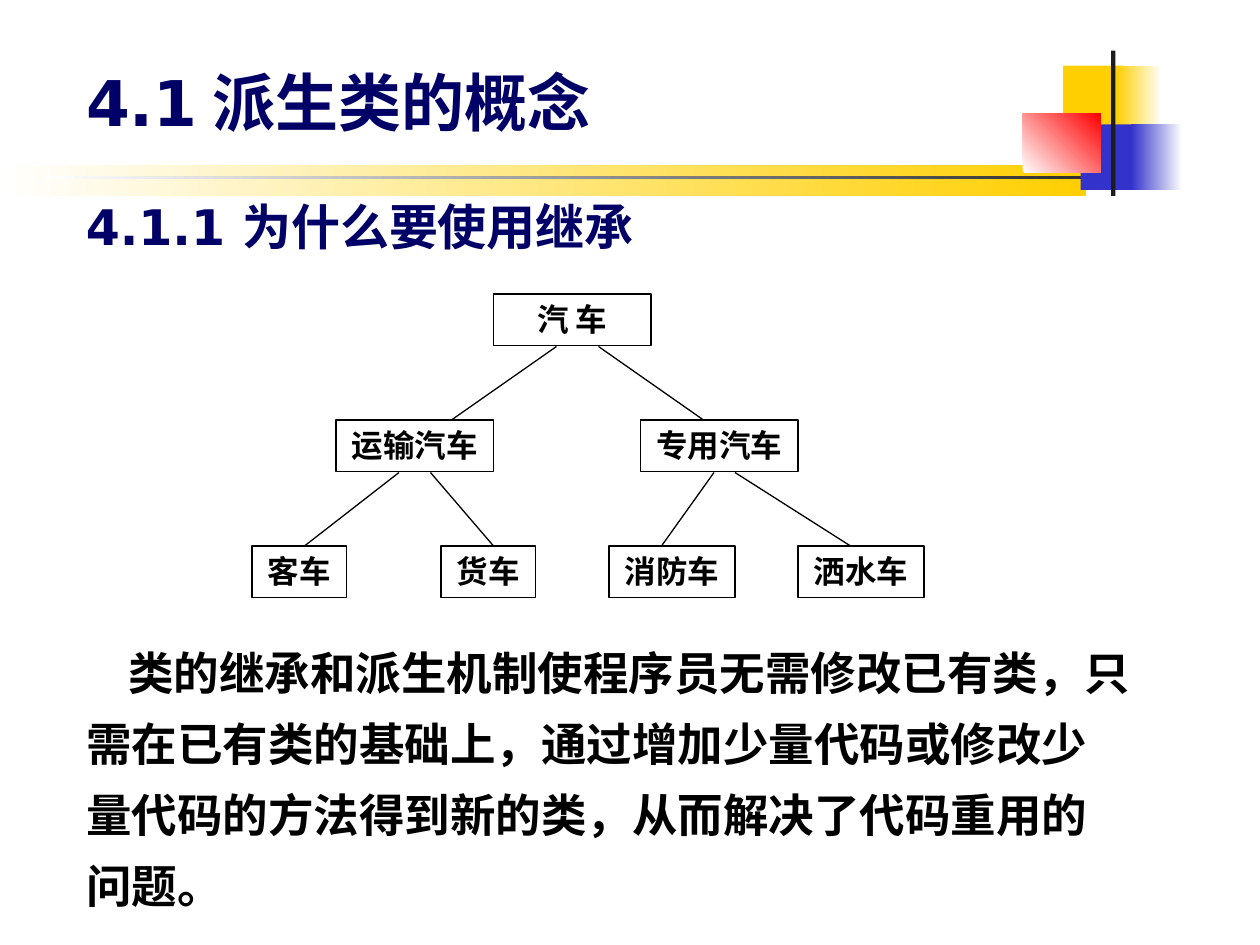
from pptx import Presentation
from pptx.dml.color import RGBColor
from pptx.enum import shapes, text
from pptx.oxml import xmlchemy as x
from pptx.oxml.ns import qn
from pptx.util import Pt

WHITE = RGBColor(0xFF, 0xFF, 0xFF)
BLACK = RGBColor(0, 0, 0)
NAVY = RGBColor(0, 0, 0x66)
YELLOW = RGBColor(0xFF, 0xCF, 0x01)
BLUE = RGBColor(0x33, 0x33, 0xCC)
RED = RGBColor(0xFF, 0, 0)
DARK = RGBColor(0x1C, 0x1C, 0x1C)
LATIN = "DejaVu Sans"
CJK = "Noto Sans CJK SC"


def sub(parent, tag, **attrs):
    """Append a DrawingML element with the given attributes."""
    el = x.OxmlElement(tag)
    for k, v in attrs.items():
        el.set(k, str(v))
    parent.append(el)
    return el


def place(sp, left, top, width, height):
    """Set the position and size of a shape in points."""
    sp.left, sp.top, sp.width, sp.height = map(Pt, (left, top, width, height))


def write(sp, content, size=18, font=LATIN, color=BLACK, align=text.PP_ALIGN.LEFT,
          anchor=text.MSO_ANCHOR.TOP, spacing=1.0, indent=0, tab=None):
    """Fill a shape with one formatted bold paragraph."""
    tf = sp.text_frame
    tf.word_wrap = True
    tf.auto_size = text.MSO_AUTO_SIZE.NONE
    tf.vertical_anchor = anchor
    p = tf.paragraphs[0]
    p.alignment, p.line_spacing, p.space_before = align, spacing, Pt(0)
    pPr = p._p.get_or_add_pPr()
    pPr.set("marL", "0")
    pPr.set("indent", str(Pt(indent)))
    sub(pPr, "a:buNone")
    if tab is not None:
        sub(sub(pPr, "a:tabLst"), "a:tab", pos=Pt(tab), algn="l")
    r = p.add_run()
    r.text = content
    r.font.name, r.font.size, r.font.bold = font, Pt(size), True
    r.font.color.rgb = color
    sub(r._r.get_or_add_rPr(), "a:ea", typeface=CJK)


def add_block(s, box, start, end=None, angle=0):
    """Add a borderless rectangle with a solid or two-colour fill."""
    sp = s.shapes.add_shape(shapes.MSO_SHAPE.RECTANGLE, *map(Pt, box))
    sp.shadow.inherit = False
    sp.line.fill.background()
    if end is None:
        sp.fill.solid()
        sp.fill.fore_color.rgb = start
        return
    sp.fill.gradient()
    sp.fill.gradient_angle = angle
    for stop, color, pos in zip(sp.fill.gradient_stops, (start, end), (0, 1)):
        stop.color.rgb = color
        stop.position = pos


def add_ornament(s, left, top):
    """Draw the fading bars and the overlapping colour blocks."""
    blocks = [
        ((0, 65.5, 620.5, 17.5), WHITE, YELLOW, 0),
        ((25, 71.5, 648, 2), WHITE, DARK, 0),
        ((607.5, 8.5, 34.5, 37.5), YELLOW, None, 0),
        ((638, 8.5, 26, 37.5), YELLOW, WHITE, 0),
        ((617.5, 42, 33.5, 37.5), BLUE, None, 0),
        ((646.5, 42, 29, 37.5), BLUE, WHITE, 0),
        ((584.5, 36, 44.5, 33.5), WHITE, RED, 45),
        ((635, 0, 2.5, 83), DARK, None, 0),
    ]
    for (x0, y0, w, h), start, end, angle in blocks:
        add_block(s, (left + x0, top + y0, w, h), start, end, angle)


def add_headings(s, left, top, width):
    """Place the chapter title and the section heading."""
    bottom = text.MSO_ANCHOR.BOTTOM
    title = s.shapes.title
    place(title, left, top, width, 45.5)
    write(title, "4.1\t派生类的概念", size=36, color=NAVY, anchor=bottom, tab=109)
    heading = s.shapes.add_textbox(*map(Pt, (left, top + 76, width, 36)))
    write(heading, "4.1.1 为什么要使用继承", size=28, color=NAVY, anchor=bottom)


def add_tree(s, left, top, step=72, height=29.5):
    """Draw the vehicle class hierarchy, one row per level."""
    levels = [
        [("汽 车", 138, 90)],
        [("运输汽车", 48, 90), ("专用汽车", 222, 90)],
        [("客车", 0, 54), ("货车", 108, 54), ("消防车", 204, 72), ("洒水车", 312, 72)],
    ]
    edges = [
        [(174, 114), (198, 258)],
        [(84, 30), (102, 138), (264, 234), (276, 342)],
    ]
    for i, nodes in enumerate(levels):
        for name, x0, width in nodes:
            sp = s.shapes.add_shape(shapes.MSO_SHAPE.RECTANGLE, Pt(left + x0),
                                    Pt(top + i * step), Pt(width), Pt(height))
            sp.shadow.inherit = False
            sp.fill.background()
            sp.line.color.rgb, sp.line.width = BLACK, Pt(0.75)
            write(sp, name, align=text.PP_ALIGN.CENTER)
    for i, links in enumerate(edges):
        for x1, x2 in links:
            ln = s.shapes.add_connector(
                shapes.MSO_CONNECTOR.STRAIGHT, Pt(left + x1), Pt(top + i * step + 30),
                Pt(left + x2), Pt(top + (i + 1) * step))
            ln.line.color.rgb, ln.line.width = BLACK, Pt(0.75)
            sub(ln._element.find(qn("p:spPr")), "a:effectLst")


def add_summary(s, left, top, width, height):
    """Place the closing paragraph in the body placeholder."""
    body = s.placeholders[1]
    place(body, left, top, width, height)
    write(body, "类的继承和派生机制使程序员无需修改已有类，只需在已有类的基础上，"
                "通过增加少量代码或修改少量代码的方法得到新的类，从而解决了代码重用的问题。",
          size=26, font=CJK, spacing=1.3, indent=24)


def main():
    """Build and save the slide."""
    prs = Presentation()
    prs.slide_width, prs.slide_height = Pt(720), Pt(540)
    s = prs.slides.add_slide(prs.slide_layouts[1])
    add_ornament(s, 0, 29)
    add_headings(s, 42, 37.5, 354)
    add_tree(s, 144, 168)
    add_summary(s, 42, 355.5, 612, 170)
    prs.save("out.pptx")


if __name__ == "__main__":
    main()
